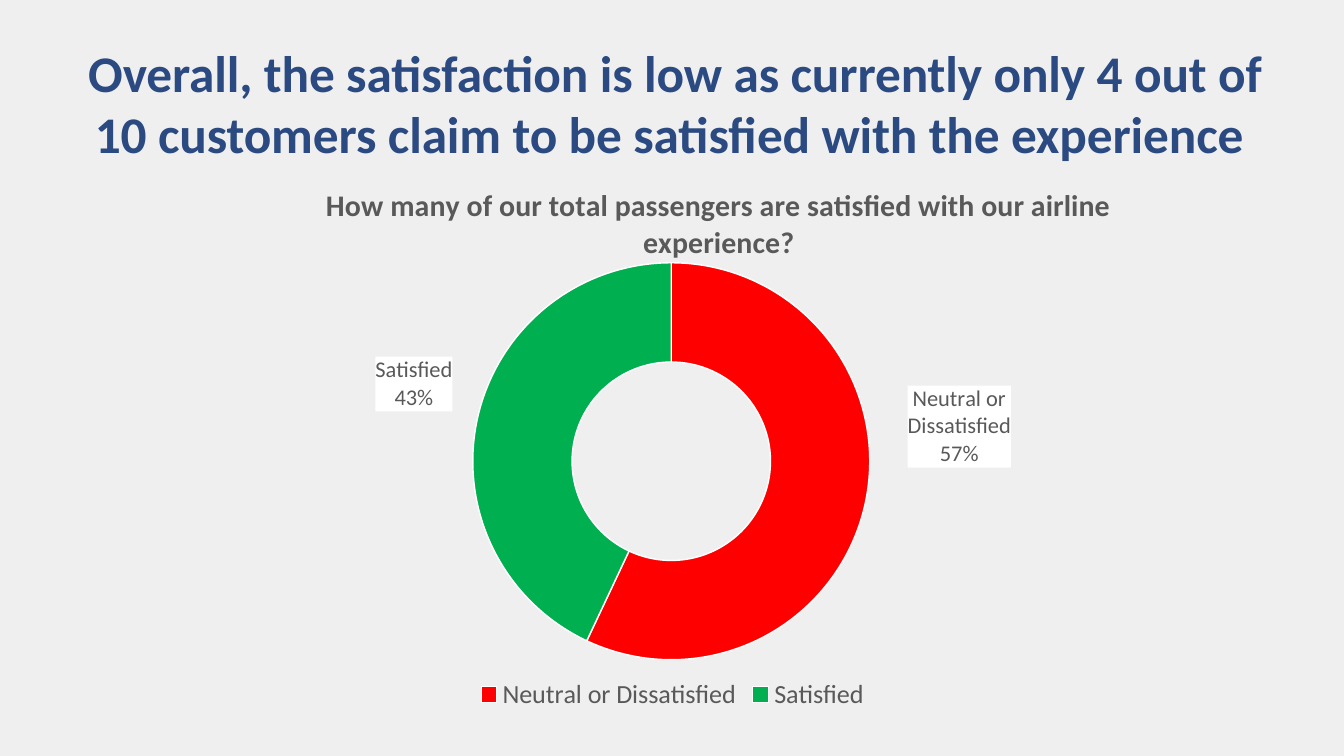
from lxml import etree
from pptx import Presentation
from pptx.chart.data import CategoryChartData
from pptx.dml.color import RGBColor
from pptx.enum.chart import XL_CHART_TYPE, XL_LEGEND_POSITION
from pptx.enum.text import MSO_ANCHOR, PP_ALIGN
from pptx.oxml import parse_xml
from pptx.oxml.ns import nsdecls, qn
from pptx.util import Inches, Pt

RING = XL_CHART_TYPE.DOUGHNUT
BOTTOM = XL_LEGEND_POSITION.BOTTOM
CENTER, TOP = PP_ALIGN.CENTER, MSO_ANCHOR.TOP
WIDE, HIGH = 20, 11.25
GREY = "595959"
# category: value, colour, label shift as shares of the chart
PARTS = {
    "Neutral or Dissatisfied": (57, "FF0000", (0.14, -0.12)),
    "Satisfied": (43, "00B050", (-0.11, -0.08)),
}


def paint(fill, color):
    fill.solid()
    fill.fore_color.rgb = RGBColor.from_string(color)


def style(font, size, color, bold=False):
    for key, val in {"name": "Calibri", "size": Pt(size), "bold": bold}.items():
        setattr(font, key, val)
    font.color.rgb = RGBColor.from_string(color)


def layout(**vals):
    """Return a manual chart layout; a target comes first, then x, y, w, h."""
    target = vals.pop("target", None)
    tags = f'<c:layoutTarget val="{target}"/>' if target else ""
    if target or vals.pop("edge", False):
        tags += '<c:xMode val="edge"/><c:yMode val="edge"/>'
    tags += "".join(f'<c:{key} val="{val}"/>' for key, val in vals.items())
    return f'<c:layout {nsdecls("c")}><c:manualLayout>{tags}</c:manualLayout></c:layout>'


def add_labels(series):
    """Put white category and percent labels beside the ring."""
    look = (
        '<c:numFmt formatCode="0%" sourceLinked="0"/>'
        '<c:spPr><a:solidFill><a:srgbClr val="FFFFFF"/></a:solidFill></c:spPr>'
        '<c:txPr><a:bodyPr/><a:p><a:pPr><a:defRPr sz="2400" b="0"><a:solidFill>'
        f'<a:srgbClr val="{GREY}"/></a:solidFill><a:latin typeface="Calibri"/>'
        '</a:defRPr></a:pPr><a:endParaRPr lang="en-US"/></a:p></c:txPr>'
        '<c:showLegendKey val="0"/><c:showVal val="0"/><c:showCatName val="1"/>'
        '<c:showSerName val="0"/><c:showPercent val="1"/><c:showBubbleSize val="0"/>'
        '<c:separator>\n</c:separator>'
    )
    items = "".join(
        f'<c:dLbl><c:idx val="{i}"/>{layout(x=x, y=y)}{look}</c:dLbl>'
        for i, (_, _, (x, y)) in enumerate(PARTS.values())
    )
    labels = parse_xml(
        f'<c:dLbls {nsdecls("c", "a")}>{items}{look}'
        '<c:showLeaderLines val="0"/></c:dLbls>'
    )
    series._element.find(qn("c:cat")).addprevious(labels)


def add_title(slide, box):
    title = slide.shapes.title
    title.left, title.top, title.width, title.height = map(Inches, box)
    frame = title.text_frame
    frame.margin_left = frame.margin_right = frame.margin_bottom = 0
    frame.margin_top = Inches(0.01)
    frame.vertical_anchor = TOP
    frame.word_wrap = True
    para = frame.paragraphs[0]
    para.alignment, para.space_before = CENTER, Pt(0.9)
    run = para.add_run()
    run.text = ("Overall, the satisfaction is low as currently only 4 out of "
                "10 customers claim to be satisfied with the experience ")
    style(run.font, 55, "2A4A81", True)
    run.font._element.set("spc", "-10")


def add_ring(slide, box):
    data = CategoryChartData()
    data.categories = list(PARTS)
    data.add_series("Series 1", [val for val, _, _ in PARTS.values()])
    chart = slide.shapes.add_chart(RING, *map(Inches, box), data).chart
    style(chart.font, 10, "000000")

    chart.has_title = True
    frame = chart.chart_title.text_frame
    frame.text = ("How many of our total passengers are satisfied "
                  "with our airline experience?")
    style(frame.paragraphs[0].runs[0].font, 32, GREY, True)
    head = chart.chart_title._element
    for old in head.findall(qn("c:layout")):
        head.remove(old)
    head.find(qn("c:tx")).addnext(parse_xml(layout(edge=True, x=0.155, y=0.04)))

    chart.has_legend = True
    chart.legend.position = BOTTOM
    chart.legend.include_in_layout = False
    style(chart.legend.font, 28, GREY)

    plot = chart.plots[0]
    plot.vary_by_categories = True
    series = plot.series[0]
    for i, (_, color, _) in enumerate(PARTS.values()):
        form = series.points[i].format
        paint(form.fill, color)
        paint(form.line.fill, "FFFFFF")
        form.line.width = Pt(1.5)
    add_labels(series)

    ring = plot._element
    hole = ring.find(qn("c:holeSize"))
    if hole is None:
        hole = etree.SubElement(ring, qn("c:holeSize"))
    hole.set("val", "75")
    area = ring.getparent()
    for old in area.findall(qn("c:layout")):
        area.remove(old)
    area.insert(0, parse_xml(layout(target="inner", x=0.304, y=0.19, w=0.39, h=0.71)))


def main():
    deck = Presentation()
    deck.slide_width, deck.slide_height = Inches(WIDE), Inches(HIGH)
    slide = deck.slides.add_slide(deck.slide_layouts[5])
    paint(slide.background.fill, "EFEFEF")
    add_title(slide, (1.17, 0.6, 17.75, 1.86))
    add_ring(slide, (2.42, 2.33, 15.17, 8.32))
    deck.save("out.pptx")


if __name__ == "__main__":
    main()
